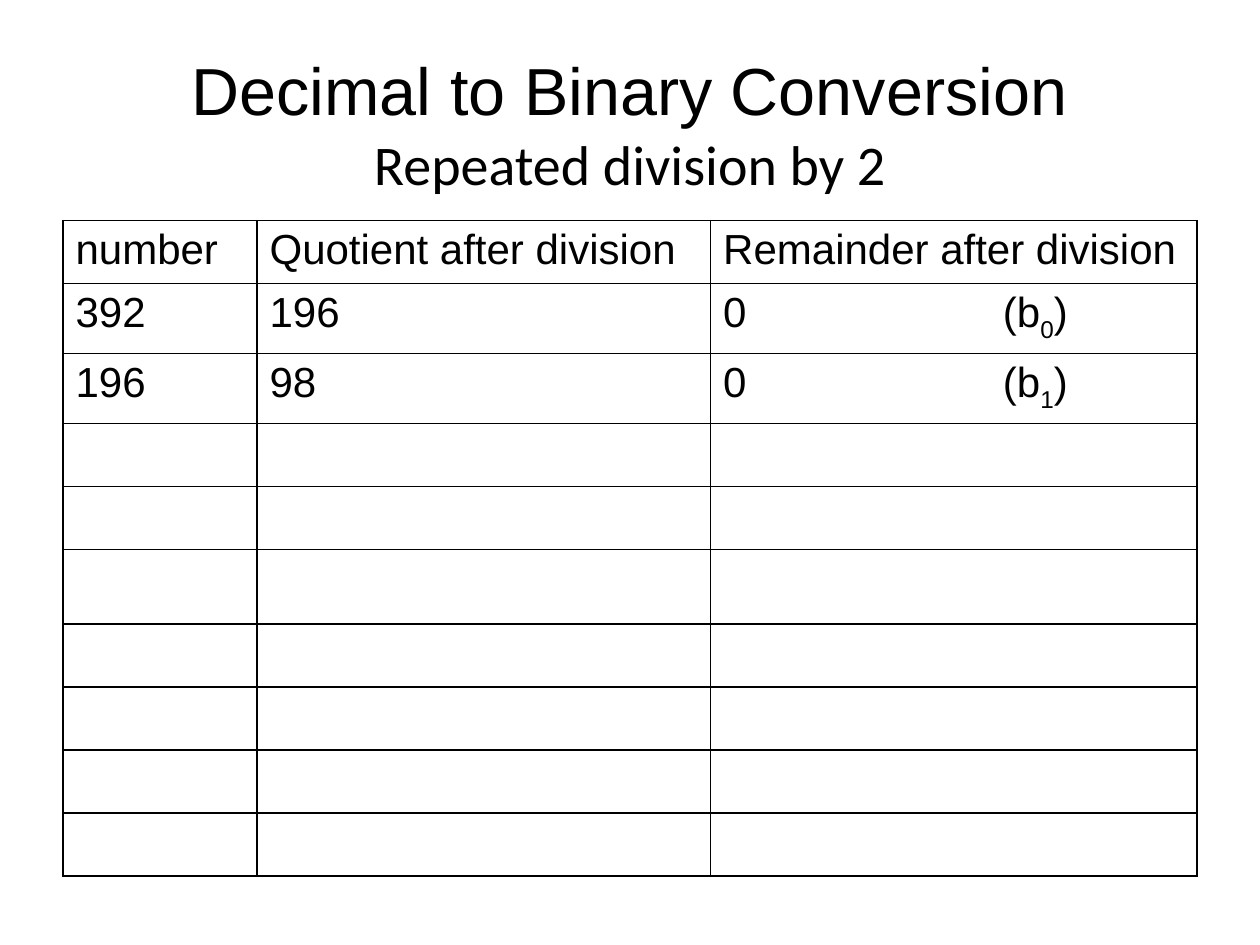
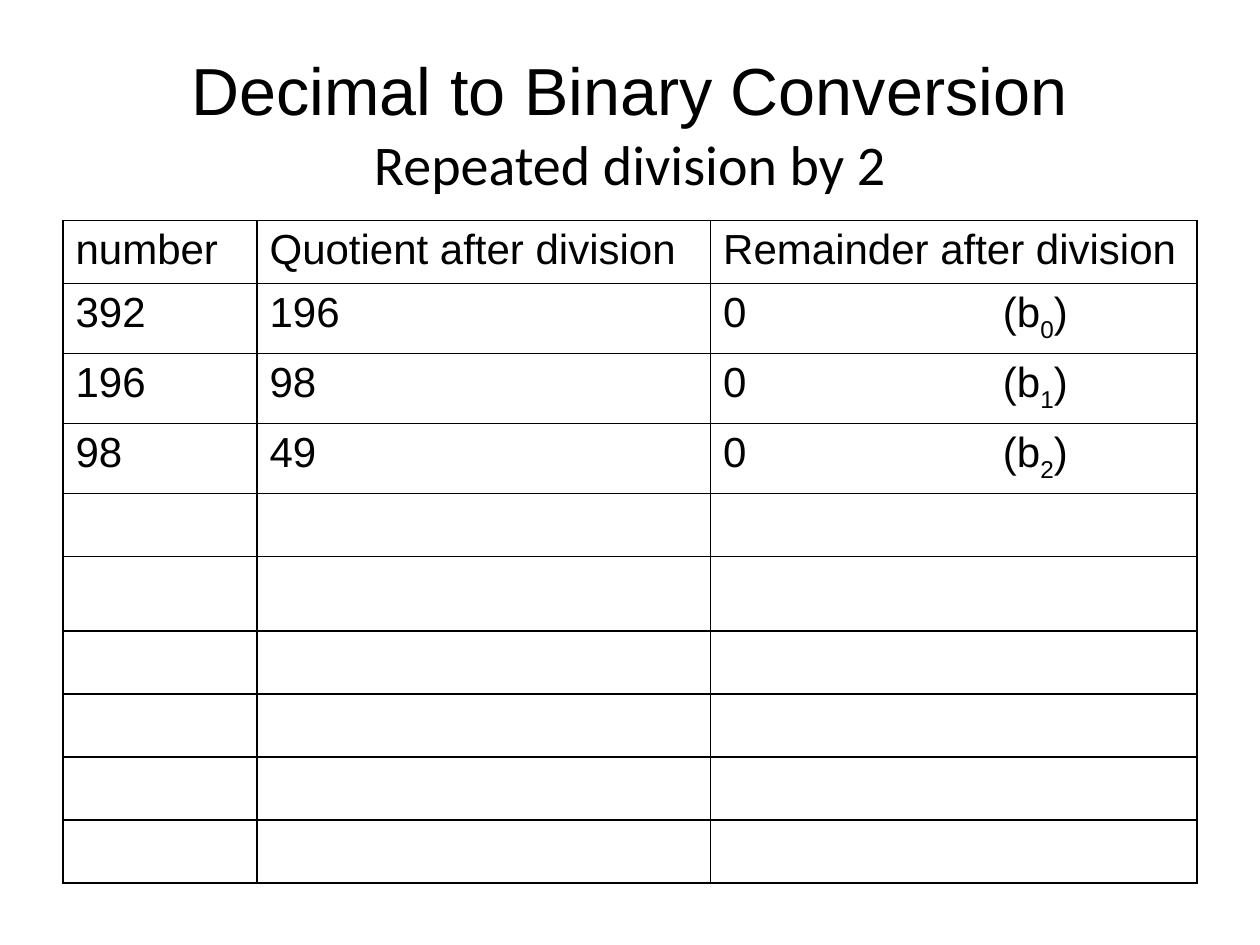
from dataclasses import dataclass
from typing import Any

from lxml import etree
from pptx import Presentation
from pptx.dml.color import RGBColor
from pptx.enum import text
from pptx.oxml import ns
from pptx.util import Inches, Pt

BLACK = "000000"
START, BASE, BODY_ROWS = 392, 2, 9
HEADERS = ("number", "Quotient after division", "Remainder after division")
COL_WIDTHS = (1.54, 3.6, 3.86)
ROW_HEIGHT, TALL_ROW, TALL_HEIGHT = 0.5, 5, 0.59
HANGING, BIT_TAB = 0.38, 2.22


@dataclass(frozen=True)
class Style:
    """Font of a run of text."""
    size: float
    name: str = "Arial"
    color: str = BLACK


TITLE = Style(38)
SUBTITLE = Style(32, "Calibri")
CELL = Style(24)


@dataclass(frozen=True)
class Step:
    """One division and the index of the bit it gives."""
    number: int
    bit: int


def rgb(color: str) -> RGBColor:
    """Turn a hex string into a colour."""
    return RGBColor.from_string(color)


def set_attrs(obj: Any, values: dict[str, Any]) -> None:
    """Set each named attribute of an object."""
    for name, value in values.items():
        setattr(obj, name, value)


def add_run(p: Any, words: str, style: Style, baseline: int = 0) -> None:
    """Add a styled run, lowered when baseline is negative."""
    r = p.add_run()
    r.text = words
    set_attrs(r.font, {"size": Pt(style.size), "name": style.name})
    r.font.color.rgb = rgb(style.color)
    if baseline:
        r.font._element.set("baseline", str(baseline))


def add_title(s: Any) -> None:
    """Add the two-line slide title."""
    sp = s.shapes.add_textbox(Inches(0.5), Inches(0.3), Inches(9), Inches(1.25))
    tf = sp.text_frame
    set_attrs(tf, {"word_wrap": True, "vertical_anchor": text.MSO_ANCHOR.MIDDLE,
                   "margin_top": Inches(0.1), "margin_bottom": 0})
    p = tf.paragraphs[0]
    p.alignment = text.PP_ALIGN.CENTER
    add_run(p, "Decimal to Binary Conversion", TITLE)
    p.add_line_break()
    add_run(p, "Repeated division by 2", SUBTITLE)


def add_borders(cell: Any) -> None:
    """Draw a thin line on the four sides of a cell."""
    tc_pr = cell._tc.get_or_add_tcPr()
    for side in ("lnL", "lnR", "lnT", "lnB"):
        ln = etree.SubElement(tc_pr, ns.qn(f"a:{side}"), w=str(Pt(1)))
        fill = etree.SubElement(ln, ns.qn("a:solidFill"))
        etree.SubElement(fill, ns.qn("a:srgbClr"), val=BLACK)


def fill_cell(cell: Any, words: str) -> None:
    """Write justified text with a hanging indent."""
    p = cell.text_frame.paragraphs[0]
    p.alignment = text.PP_ALIGN.JUSTIFY
    p_pr = p._p.get_or_add_pPr()
    p_pr.set("marL", str(Inches(HANGING)))
    p_pr.set("indent", str(-Inches(HANGING)))
    add_run(p, words, CELL)


def fill_remainder(cell: Any, remainder: int, bit: int) -> None:
    """Write a remainder and, at a tab stop, the bit it stands for."""
    p = cell.text_frame.paragraphs[0]
    p.alignment = text.PP_ALIGN.JUSTIFY
    tabs = etree.SubElement(p._p.get_or_add_pPr(), ns.qn("a:tabLst"))
    etree.SubElement(tabs, ns.qn("a:tab"), pos=str(Inches(BIT_TAB)), algn="l")
    add_run(p, f"{remainder}\t(b", CELL)
    add_run(p, str(bit), CELL, -25000)
    add_run(p, ")", CELL)


def add_division_table(s: Any, steps: list[Step]) -> None:
    """Add the table with the given steps filled in."""
    heights = [ROW_HEIGHT] * (BODY_ROWS + 1)
    heights[TALL_ROW] = TALL_HEIGHT
    frame = s.shapes.add_table(len(heights), len(HEADERS), Inches(0.5), Inches(1.75),
                               Inches(sum(COL_WIDTHS)), Inches(sum(heights)))
    table = frame.table
    set_attrs(table, {"first_row": False, "horz_banding": False})
    for col, width in zip(table.columns, COL_WIDTHS):
        col.width = Inches(width)
    for row, height in zip(table.rows, heights):
        row.height = Inches(height)
    for cell in table.iter_cells():
        add_borders(cell)
        cell.fill.background()
    for col, words in enumerate(HEADERS):
        fill_cell(table.cell(0, col), words)
    for row, step in enumerate(steps, start=1):
        quotient, remainder = divmod(step.number, BASE)
        fill_cell(table.cell(row, 0), str(step.number))
        fill_cell(table.cell(row, 1), str(quotient))
        fill_remainder(table.cell(row, 2), remainder, step.bit)


def main() -> None:
    """Build one slide for each stage of the division."""
    prs = Presentation()
    set_attrs(prs, {"slide_width": Inches(10), "slide_height": Inches(7.5)})
    for step_count in (2, 3):
        s = prs.slides.add_slide(prs.slide_layouts[6])
        add_title(s)
        add_division_table(s, [Step(START // BASE ** bit, bit) for bit in range(step_count)])
    prs.save("out.pptx")


if __name__ == "__main__":
    main()
